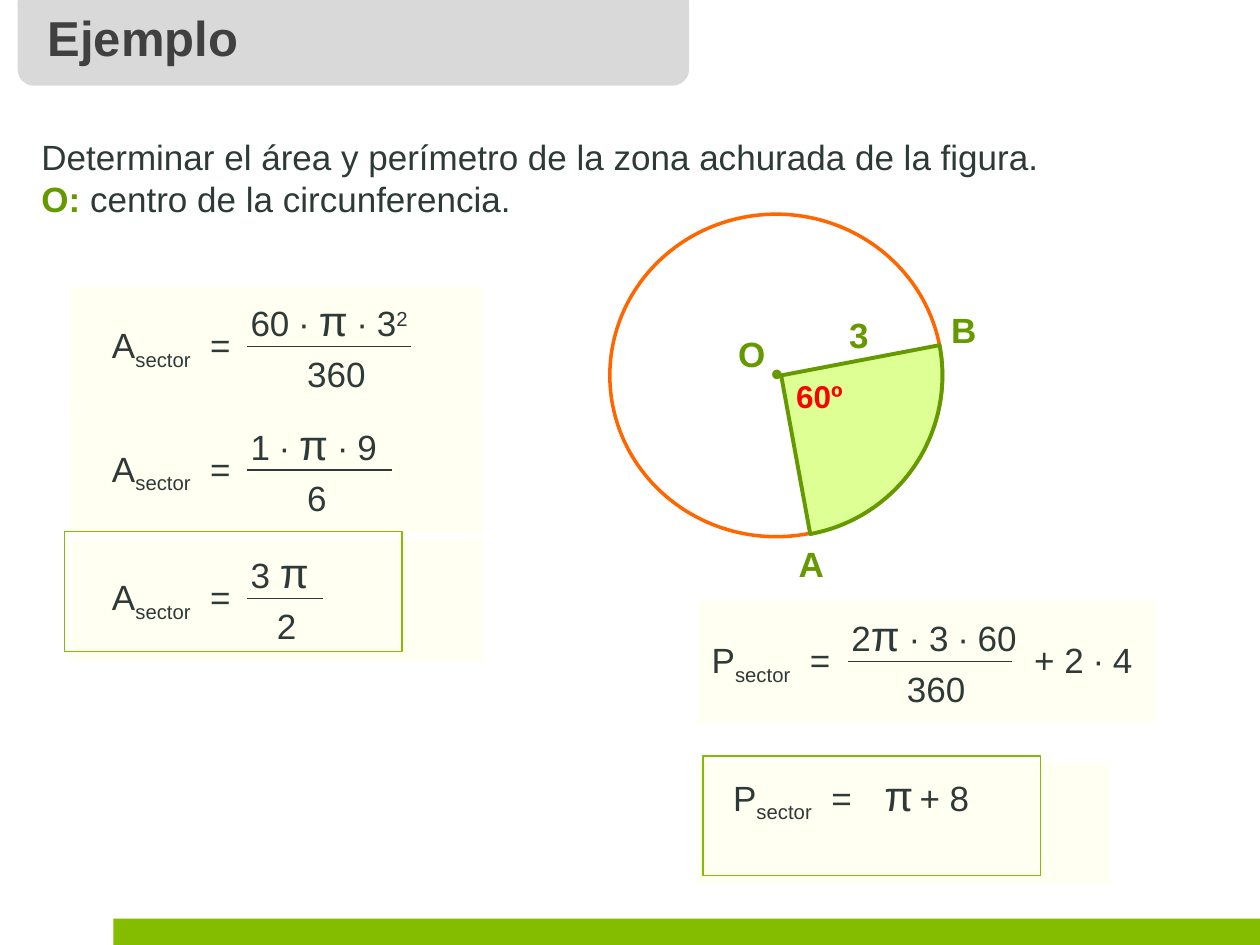
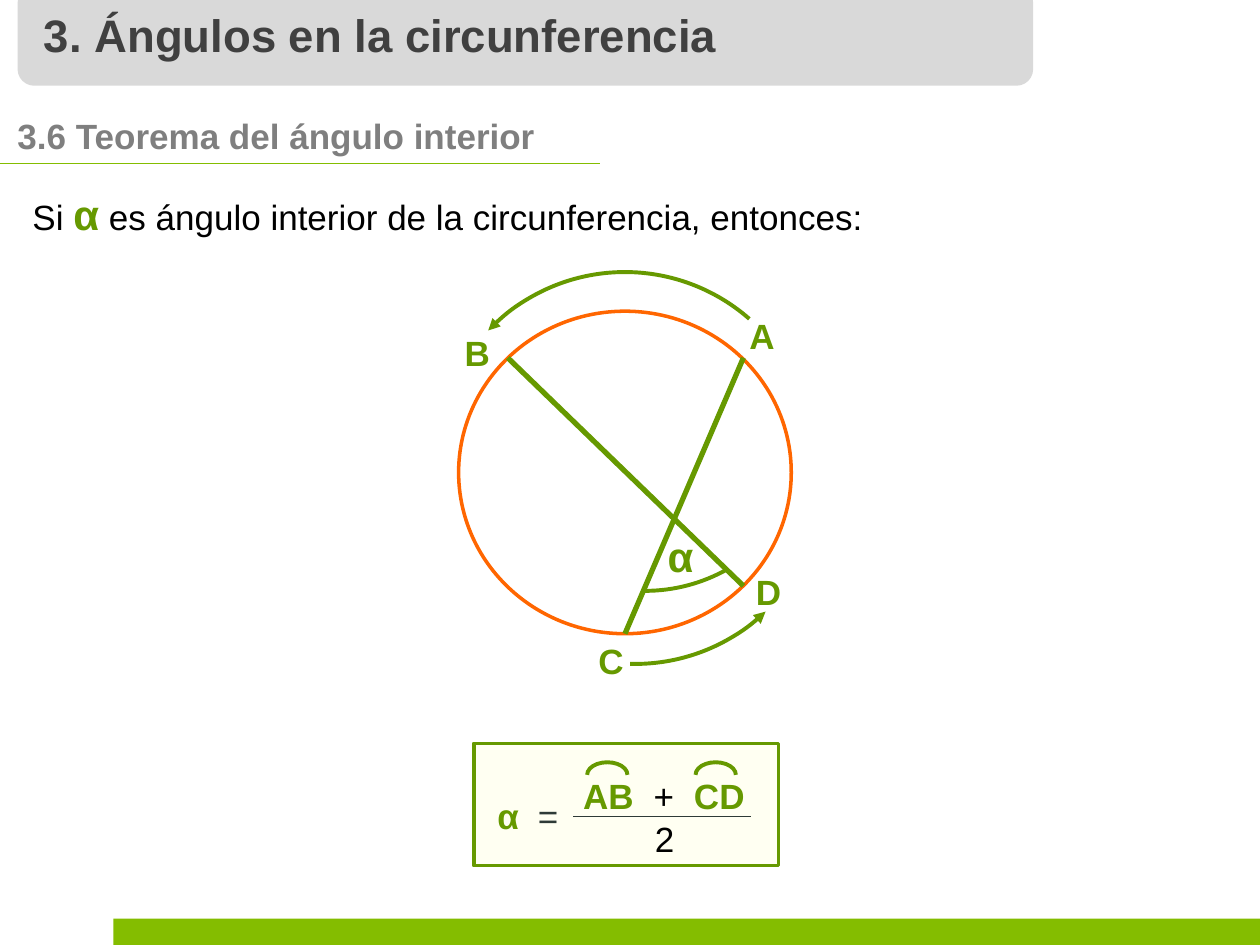
import pptx
import pptx.util
import pptx.dml.color
import pptx.enum.shapes
import pptx.oxml.ns
from lxml import etree

Inches = pptx.util.Inches
Pt = pptx.util.Pt
Shape = pptx.enum.shapes.MSO_SHAPE

LIME = "84BD00"
GREEN = "669900"
PALE_GREEN = "DEFF93"
ORANGE = "FF6600"
YELLOW = "FFFF00"
RED = "FF0000"
INK = "2E3A37"
BLACK = "000000"
TITLE_GRAY = "404040"
SUBTITLE_GRAY = "7F7F7F"
BAND_GRAY = "D9D9D9"


def rgb(value):
    return pptx.dml.color.RGBColor.from_string(value)


def add_xml(parent, tag, **attributes):
    element = etree.SubElement(parent, pptx.oxml.ns.qn(tag))
    for name, value in attributes.items():
        element.set(name, str(value))
    return element


def span(text, size=20, color=INK, bold=False, baseline=0):
    return dict(text=text, size=size, color=color, bold=bold, baseline=baseline)


def strong(text, size=20, color=GREEN):
    return span(text, size, color, True)


class Deck:
    font = "Arial"

    def __init__(self):
        self.presentation = pptx.Presentation()
        self.presentation.slide_width = Inches(10)
        self.presentation.slide_height = Inches(7.5)
        self.slide = None

    def new_slide(self, title, title_left, title_top, title_size, band_width):
        self.slide = self.presentation.slides.add_slide(self.presentation.slide_layouts[6])
        self.shape(Shape.RECTANGLE, 0.9, 7.29, 9.1, 0.21, fill=LIME)
        self.shape(Shape.ROUNDED_RECTANGLE, 0.14, -0.11, band_width, 0.79, fill=BAND_GRAY)
        self.text(title_left, title_top, band_width - 0.3, [strong(title, title_size, TITLE_GRAY)])

    def shape(self, kind, left, top, width, height, fill=None, line=None, weight=0.75, opacity=100):
        shape = self.slide.shapes.add_shape(
            kind, Inches(left), Inches(top), Inches(width), Inches(height))
        shape.shadow.inherit = False
        if fill:
            shape.fill.solid()
            shape.fill.fore_color.rgb = rgb(fill)
            if opacity < 100:
                color = shape.fill._xPr.find(".//" + pptx.oxml.ns.qn("a:srgbClr"))
                add_xml(color, "a:alpha", val=opacity * 1000)
        else:
            shape.fill.background()
        if line:
            shape.line.color.rgb = rgb(line)
            shape.line.width = Pt(weight)
        else:
            shape.line.fill.background()
        return shape

    def pale_panel(self, left, top, width, line=None, weight=0.75):
        self.shape(Shape.RECTANGLE, left, top, width, 0.97, YELLOW, line, weight, opacity=5)

    def curve(self, kind, center_x, center_y, radius_x, radius_y, start, end, fill=None, arrow=False):
        shape = self.shape(kind, center_x - radius_x, center_y - radius_y,
                           2 * radius_x, 2 * radius_y, fill, GREEN, 2.25)
        for index, degrees in enumerate((start, end)):
            shape.adjustments[index] = degrees * 0.6
        if arrow:
            add_xml(shape.line._get_or_add_ln(), "a:headEnd", type="triangle")

    def line(self, start, end, color=INK, weight=0.75):
        connector = self.slide.shapes.add_connector(
            pptx.enum.shapes.MSO_CONNECTOR.STRAIGHT, *map(Inches, start + end))
        connector.line.color.rgb = rgb(color)
        connector.line.width = Pt(weight)
        add_xml(connector._element.spPr, "a:effectLst")

    def text(self, left, top, width, *paragraphs, tabs=(), height=0.44):
        box = self.slide.shapes.add_textbox(
            Inches(left), Inches(top), Inches(width), Inches(height))
        frame = box.text_frame
        frame.word_wrap = True
        for index, spans in enumerate(paragraphs):
            paragraph = frame.add_paragraph() if index else frame.paragraphs[0]
            if tabs:
                tab_list = add_xml(paragraph._p.get_or_add_pPr(), "a:tabLst")
                for position in tabs:
                    add_xml(tab_list, "a:tab", pos=Inches(position), algn="l")
            for item in spans:
                run = paragraph.add_run()
                run.text = item["text"]
                run.font.name = self.font
                run.font.size = Pt(item["size"])
                run.font.bold = item["bold"]
                run.font.color.rgb = rgb(item["color"])
                if item["baseline"]:
                    run._r.get_or_add_rPr().set("baseline", str(item["baseline"] * 1000))

    def labels(self, places):
        for letter, left, top in places:
            self.text(left, top, 0.44, [strong(letter)])

    def sector_term(self, symbol, left, top, rest="", tabs=()):
        spans = [span(symbol), span("sector", baseline=-25), span("\t=" + rest)]
        self.text(left, top, 1.21 if not rest else 3.74, spans, tabs=(0.78, *tabs))

    def fraction(self, left, top, numerator, denominator, denominator_left, bar_width):
        self.text(left, top, 1.9, numerator)
        self.text(denominator_left, top + 0.46, 0.87, [span(denominator)])
        self.line((left + 0.07, top + 0.46), (left + 0.07 + bar_width, top + 0.46))


def build_example(deck):
    deck.new_slide("Ejemplo", 0.28, 0.01, 28, 5.33)
    deck.text(0.23, 1.03, 9.45,
              [span("Determinar el área y perímetro de la zona achurada de la figura.")],
              [strong("O: "), span("centro de la circunferencia.")], height=0.77)

    deck.shape(Shape.OVAL, 4.84, 1.7, 2.64, 2.56, line=ORANGE, weight=2)
    deck.curve(Shape.PIE, 6.2, 2.98, 1.28, 1.28, 349.2, 79.6, fill=PALE_GREEN)
    deck.labels([("A", 6.24, 4.26), ("B", 7.45, 2.4), ("O", 5.76, 2.59), ("3", 6.64, 2.44)])
    deck.text(6.02, 2.74, 0.4, [span("•", color=GREEN)])
    deck.text(6.22, 2.94, 0.7, [strong("60º", 18, RED)])

    pi = span("π", 24)
    area_steps = [
        (2.28, [span("60 ∙ "), pi, span(" ∙ 3"), span("2", baseline=30)], "360", 2.34, 1.3),
        (3.26, [span("1 ∙ "), pi, span(" ∙ 9")], "6", 2.34, 1.15),
        (4.28, [span("3 "), pi], "2", 2.1, 0.6),
    ]
    for top, numerator, denominator, denominator_left, bar_width in area_steps:
        deck.pale_panel(0.55, top, 3.28)
        deck.fraction(1.89, top + 0.01, numerator, denominator, denominator_left, bar_width)
        deck.sector_term("A", 0.79, top + 0.24)

    deck.pale_panel(5.54, 4.77, 3.63)
    deck.fraction(6.66, 4.79, [span("2"), pi, span(" ∙ 3 ∙ 60")], "360", 7.1, 1.3)
    deck.sector_term("P", 5.55, 5.02, "\t+ 2 ∙ 4", tabs=[2.56])

    deck.pale_panel(5.53, 6.05, 3.28)
    deck.text(6.92, 6.06, 0.6, [pi])
    deck.sector_term("P", 5.72, 6.11, "\t+ 8", tabs=[1.48])

    for left, top in [(0.51, 4.22), (5.58, 6)]:
        deck.shape(Shape.RECTANGLE, left, top, 2.68, 0.95, line=LIME)


def build_interior_angle(deck):
    deck.new_slide("3. Ángulos en la circunferencia", 0.25, 0.01, 26, 8.06)
    deck.text(0.04, 0.86, 8.98, [strong("3.6 Teorema del ángulo interior", color=SUBTITLE_GRAY)])
    deck.line((0, 1.3), (4.76, 1.3), LIME)
    deck.text(0.16, 1.45, 7.2, [
        span("Si ", color=BLACK), strong("α", 24),
        span(" es ángulo interior de la circunferencia, entonces:", color=BLACK)])

    deck.shape(Shape.OVAL, 3.64, 2.47, 2.64, 2.56, line=ORANGE, weight=2)
    deck.curve(Shape.ARC, 4.96, 3.66, 1.5, 1.5, 223.7, 311.2, arrow=True)
    deck.curve(Shape.ARC, 5.04, 3.77, 1.5, 1.5, 46.3, 91.5, arrow=True)
    deck.curve(Shape.ARC, 5.12, 3.36, 1.33, 1.33, 60.3, 91.3)
    deck.line((4.96, 5.03), (5.9, 2.84), GREEN, 3)
    deck.line((4.03, 2.84), (5.9, 4.65), GREEN, 3)
    deck.labels([("A", 5.85, 2.45), ("B", 3.59, 2.58), ("C", 4.65, 5.03), ("D", 5.9, 4.48)])
    deck.text(5.2, 4.16, 0.71, [strong("α", 24)])

    deck.pale_panel(3.76, 5.9, 2.42, GREEN, 2)
    deck.text(3.85, 6.26, 0.9, [strong("α"), span("\t=")], tabs=[0.32])
    deck.text(4.53, 6.1, 1.7, [strong("AB"), span("\t+", color=BLACK), strong("\tCD")],
              tabs=[0.56, 0.88])
    deck.line((4.55, 6.48), (5.96, 6.48))
    deck.text(5.1, 6.44, 0.87, [span("2", color=BLACK)])
    for arc_center in (4.82, 5.68):
        deck.curve(Shape.ARC, arc_center, 6.15, 0.16, 0.1, 180, 0)


def main():
    deck = Deck()
    build_example(deck)
    build_interior_angle(deck)
    deck.presentation.save("out.pptx")


if __name__ == "__main__":
    main()
